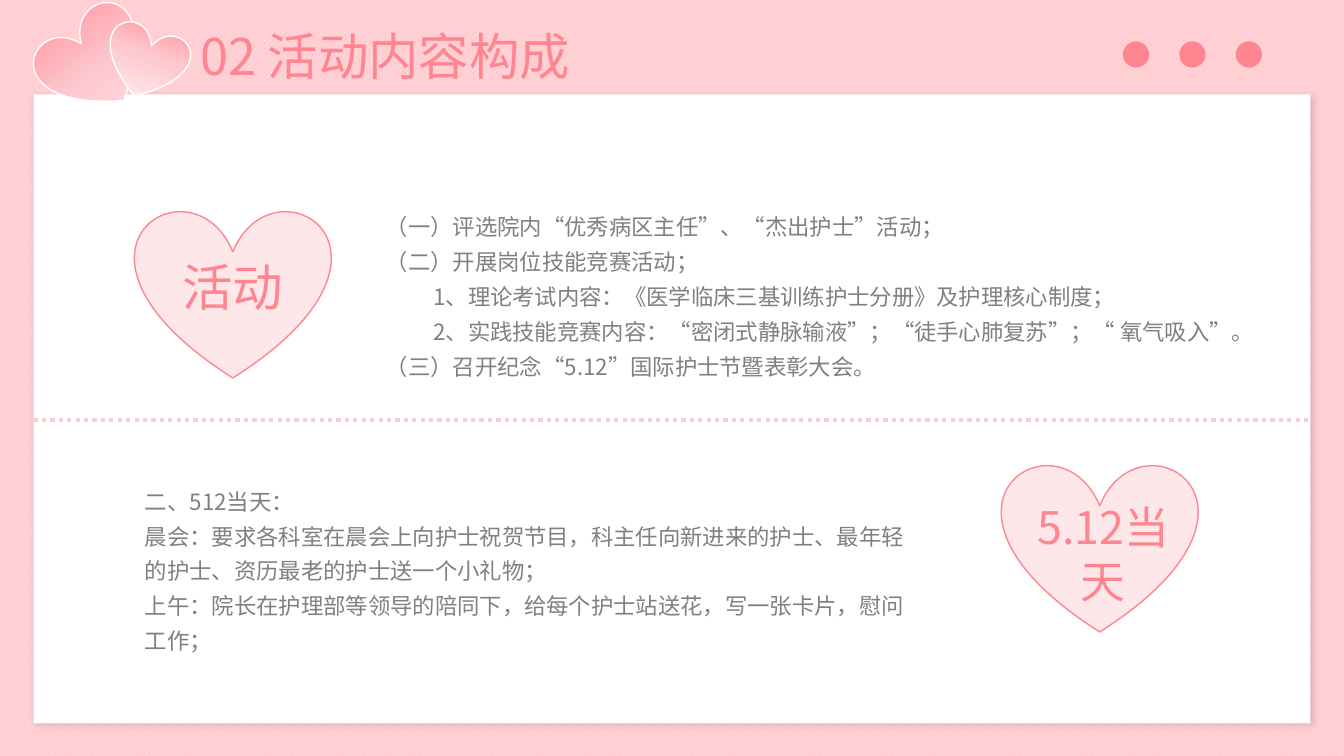
from dataclasses import dataclass
from typing import Optional

from lxml.etree import SubElement
from pptx import Presentation
from pptx.dml.color import RGBColor
from pptx.enum.dml import MSO_LINE, MSO_PATTERN
from pptx.enum.shapes import MSO_CONNECTOR, MSO_SHAPE
from pptx.enum.text import MSO_ANCHOR, MSO_AUTO_SIZE, PP_ALIGN
from pptx.oxml import parse_xml
from pptx.oxml.ns import nsdecls, qn
from pptx.util import Emu, Inches, Pt


@dataclass(frozen=True)
class Theme:
    font: str = "Noto Sans CJK SC"
    accent: str = "FF8590"
    soft: str = "FDC8CE"
    pale: str = "FDE7E9"
    backdrop: str = "FFCDD2"
    white: str = "FFFFFF"
    body: str = "808080"
    title_size: int = 36
    label_size: int = 32
    body_size: int = 16
    body_spacing: float = 1.3
    sub_indent: float = 0.47


@dataclass(frozen=True)
class Box:
    """Left, top, width and height in percent of the slide."""
    x: float
    y: float
    w: float
    h: float


@dataclass(frozen=True)
class Heart:
    box: Box
    line: str
    rotation: float = 0
    stops: tuple = ()
    label: str = ""


@dataclass(frozen=True)
class Line:
    text: str
    indented: bool = False


@dataclass(frozen=True)
class Note:
    box: Box
    lines: tuple
    size: int
    color: str
    align: PP_ALIGN = PP_ALIGN.LEFT
    spacing: Optional[float] = None


T = Theme()
SLIDE_W, SLIDE_H = Inches(13.333), Inches(7.5)
CARD = Box(2.5, 12.5, 95, 83.2)
DOT = Box(83.55, 5.47, 1.95, 3.47)
DOT_COUNT, DOT_PITCH = 3, 4.2
DIVIDER_Y = 55.6
HEART_W, HEART_H = 14.55, 22.27

CORNER_HEARTS = (
    Heart(Box(3, 2, 8.18, 12.53), T.white, 323.4,
          ((0, T.accent), (54, T.soft), (100, T.pale))),
    Heart(Box(7.8, 3.6, 6.08, 9.33), T.white, 19.1,
          ((0, T.accent), (43, T.soft), (82, T.pale))),
)
TOPIC_HEARTS = (
    Heart(Box(10.05, 27.73, HEART_W, HEART_H), T.accent, label="活动"),
    Heart(Box(74.55, 61.33, HEART_W, HEART_H), T.accent),
)
NOTES = (
    Note(Box(14.18, 2.67, 33.6, 9.47), (Line("02 活动内容构成"),),
         T.title_size, T.accent, PP_ALIGN.JUSTIFY),
    Note(Box(27.98, 26.53, 65.4, 24.8), (
        Line("（一）评选院内“优秀病区主任”、“杰出护士”活动；"),
        Line("（二）开展岗位技能竞赛活动；"),
        Line("1、理论考试内容：《医学临床三基训练护士分册》及护理核心制度；", True),
        Line("2、实践技能竞赛内容：“密闭式静脉输液”；“徒手心肺复苏”；“ 氧气吸入”。", True),
        Line("（三）召开纪念“5.12”国际护士节暨表彰大会。"),
    ), T.body_size, T.body, spacing=T.body_spacing),
    Note(Box(10.05, 62.8, 58.5, 24.67), (
        Line("二、512当天："),
        Line("晨会：要求各科室在晨会上向护士祝贺节目，科主任向新进来的护士、"
             "最年轻的护士、资历最老的护士送一个小礼物；"),
        Line("上午：院长在护理部等领导的陪同下，给每个护士站送花，写一张卡片，慰问工作；"),
    ), T.body_size, T.body, spacing=T.body_spacing),
    Note(Box(75.38, 65.47, 13.43, 15.73), (Line("5.12当天"),),
         T.label_size, T.accent, PP_ALIGN.CENTER),
)


def rgb(color: str) -> RGBColor:
    return RGBColor.from_string(color)


def across(share: float) -> Emu:
    return Emu(round(SLIDE_W * share / 100))


def down(share: float) -> Emu:
    return Emu(round(SLIDE_H * share / 100))


def place(box: Box) -> tuple:
    return across(box.x), down(box.y), across(box.w), down(box.h)


def apply(target, formats: dict) -> None:
    for name, value in formats.items():
        setattr(target, name, value)


def add_preset(s, kind: MSO_SHAPE, box: Box, fill: str):
    """Add a plain filled shape with neither outline nor shadow."""
    sp = s.shapes.add_shape(kind, *place(box))
    sp.shadow.inherit = False
    sp.fill.solid()
    sp.fill.fore_color.rgb = rgb(fill)
    sp.line.fill.background()
    return sp


def write(tf, lines: tuple, size: int, color: str, align: PP_ALIGN,
          spacing: Optional[float] = None) -> None:
    for i, line in enumerate(lines):
        p = tf.add_paragraph() if i else tf.paragraphs[0]
        apply(p, {"alignment": align, "line_spacing": spacing})
        if line.indented:
            p._p.get_or_add_pPr().set("marL", str(Inches(T.sub_indent)))
        r = p.add_run()
        r.text = line.text
        apply(r.font, {"name": T.font, "size": Pt(size)})
        r.font.color.rgb = rgb(color)
        SubElement(r._r.get_or_add_rPr(), qn("a:ea")).set("typeface", T.font)


def add_backdrop(s) -> None:
    sp = add_preset(s, MSO_SHAPE.RECTANGLE, Box(0, 0, 100, 100), T.backdrop)
    sp.fill.patterned()
    sp.fill.pattern = MSO_PATTERN.WIDE_UPWARD_DIAGONAL
    sp.fill.fore_color.rgb = rgb(T.pale)
    sp.fill.back_color.rgb = rgb(T.backdrop)


def add_card(s) -> None:
    sp = add_preset(s, MSO_SHAPE.RECTANGLE, CARD, T.white)
    effects = sp._element.spPr.find(qn("a:effectLst"))
    effects.append(parse_xml(
        f'<a:outerShdw {nsdecls("a")} blurRad="{Pt(4)}" dist="{Pt(3)}" '
        'dir="2700000" algn="tl" rotWithShape="0"><a:srgbClr val="000000">'
        '<a:alpha val="15000"/></a:srgbClr></a:outerShdw>'))


def add_heart(s, heart: Heart) -> None:
    sp = add_preset(s, MSO_SHAPE.HEART, heart.box, T.pale)
    sp.rotation = heart.rotation
    sp.line.color.rgb = rgb(heart.line)
    sp.line.width = Pt(1)
    if heart.stops:
        stops = "".join(
            f'<a:gs pos="{pos * 1000}"><a:srgbClr val="{color}"/></a:gs>'
            for pos, color in heart.stops)
        spPr = sp._element.spPr
        spPr.replace(spPr.find(qn("a:solidFill")), parse_xml(
            f'<a:gradFill {nsdecls("a")} rotWithShape="1"><a:gsLst>{stops}'
            '</a:gsLst><a:lin ang="5400000" scaled="0"/></a:gradFill>'))
    if heart.label:
        sp.text_frame.vertical_anchor = MSO_ANCHOR.MIDDLE
        write(sp.text_frame, (Line(heart.label),), T.title_size, T.accent,
              PP_ALIGN.CENTER)


def add_divider(s) -> None:
    y = down(DIVIDER_Y)
    cx = s.shapes.add_connector(MSO_CONNECTOR.STRAIGHT, across(CARD.x), y,
                                across(CARD.x + CARD.w), y)
    cx.line.color.rgb = rgb(T.soft)
    apply(cx.line, {"width": Pt(3), "dash_style": MSO_LINE.ROUND_DOT})
    SubElement(cx._element.spPr, qn("a:effectLst"))


def add_note(s, note: Note) -> None:
    tf = s.shapes.add_textbox(*place(note.box)).text_frame
    apply(tf, {"word_wrap": True, "auto_size": MSO_AUTO_SIZE.SHAPE_TO_FIT_TEXT})
    write(tf, note.lines, note.size, note.color, note.align, note.spacing)


def main() -> None:
    prs = Presentation()
    apply(prs, {"slide_width": SLIDE_W, "slide_height": SLIDE_H})
    s = prs.slides.add_slide(prs.slide_layouts[6])
    add_backdrop(s)
    add_card(s)
    for heart in CORNER_HEARTS + TOPIC_HEARTS:
        add_heart(s, heart)
    for i in range(DOT_COUNT):
        add_preset(s, MSO_SHAPE.OVAL,
                   Box(DOT.x + i * DOT_PITCH, DOT.y, DOT.w, DOT.h), T.accent)
    add_divider(s)
    for note in NOTES:
        add_note(s, note)
    prs.save("out.pptx")


if __name__ == "__main__":
    main()
